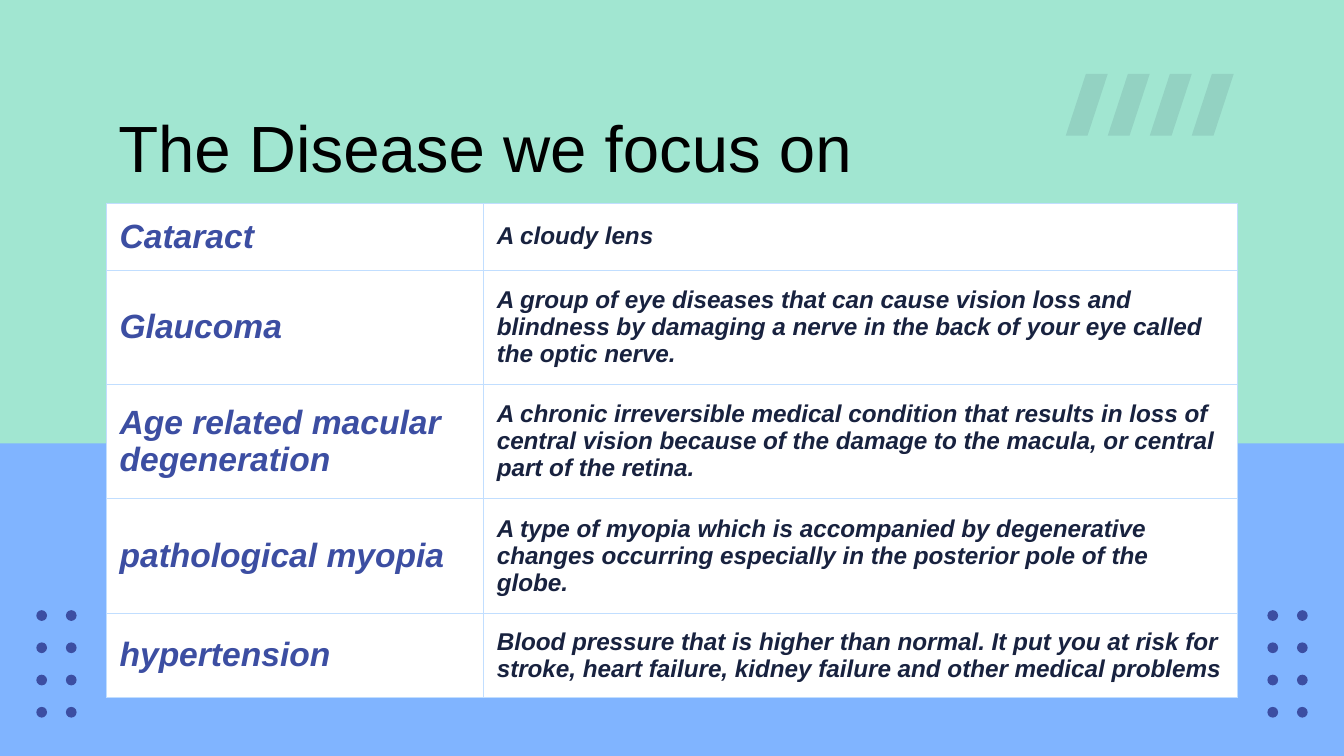
from lxml import etree
from pptx import Presentation, util as u
from pptx.dml.color import RGBColor
from pptx.enum import shapes, text
from pptx.oxml import ns

W = 10
H = W * 9 / 16
BLUE = RGBColor(0x80, 0xB4, 0xFF)
MINT = RGBColor(0xA1, 0xE6, 0xD1)
INDIGO = RGBColor(0x3C, 0x4E, 0xA2)
NAVY = RGBColor(0x18, 0x22, 0x3F)
PALE = RGBColor(0xC1, 0xDE, 0xFF)
WHITE = RGBColor(0xFF, 0xFF, 0xFF)
BLACK = RGBColor(0, 0, 0)

DISEASES = [
    ("Cataract", "A cloudy lens", 0.5),
    ("Glaucoma", "A group of eye diseases that can cause vision loss and blindness by "
     "damaging a nerve in the back of your eye called the optic nerve.", 0.85),
    ("Age related macular degeneration", "A chronic irreversible medical condition that "
     "results in loss of central vision because of the damage to the macula, or central "
     "part of the retina.", 0.85),
    ("pathological myopia", "A type of myopia which is accompanied by degenerative changes "
     "occurring especially in the posterior pole of the globe.", 0.85),
    ("hypertension", "Blood pressure that is higher than normal. It put you at risk for "
     "stroke, heart failure, kidney failure and other medical problems", 0.63),
]


def inches(*values):
    return [u.Inches(v) for v in values]


def write(tf, words, size, color, bold=False, italic=False):
    p = tf.paragraphs[0]
    p.alignment = text.PP_ALIGN.LEFT
    r = p.add_run()
    r.text = words
    f = r.font
    f.name, f.size, f.bold, f.italic = "Arial", u.Pt(size), bold, italic
    f.color.rgb = color


def paint(sp, color, alpha=None):
    """Give a shape a flat fill, with alpha in percent, and no line or shadow."""
    sp.shadow.inherit = False
    sp.line.fill.background()
    sp.fill.solid()
    sp.fill.fore_color.rgb = color
    if alpha is not None:
        clr = sp.fill._xPr.find(".//" + ns.qn("a:srgbClr"))
        etree.SubElement(clr, ns.qn("a:alpha"), val=str(alpha * 1000))


def backdrop(s):
    s.background.fill.solid()
    s.background.fill.fore_color.rgb = BLUE
    band = s.shapes.add_shape(shapes.MSO_SHAPE.RECTANGLE, *inches(0, 0, W, 3.3))
    paint(band, MINT)


def dot_grid(s, x, y, cols=2, rows=4, dx=0.22, dy=0.24, size=0.08):
    group = s.shapes.add_group_shape()
    for i in range(cols * rows):
        row, col = divmod(i, cols)
        dot = group.shapes.add_shape(
            shapes.MSO_SHAPE.OVAL, *inches(x + col * dx, y + row * dy, size, size))
        paint(dot, INDIGO)


def slashes(s, x, y, w, h, count=4):
    """Draw a row of slanted bars, each leaning across half of its own width."""
    group = s.shapes.add_group_shape()
    step = w / count
    lean = step * 0.48
    for i in range(count):
        left = x + i * step
        corners = [(left + lean, y), (left, y + h),
                   (left + step - lean, y + h), (left + step, y)]
        pen = group.shapes.build_freeform(*inches(*corners[0]), scale=1.0)
        pen.add_line_segments([inches(*c) for c in corners[1:]], close=True)
        paint(pen.convert_to_shape(), NAVY, alpha=10)


def heading(s, x, y, w, h):
    """Format the title and raise it above the shapes drawn so far."""
    sp = s.shapes.title
    s.shapes._spTree.append(sp._element)
    sp.left, sp.top, sp.width, sp.height = inches(x, y, w, h)
    tf = sp.text_frame
    tf.auto_size, tf.word_wrap = text.MSO_AUTO_SIZE.NONE, True
    tf.vertical_anchor = text.MSO_ANCHOR.TOP
    tf.margin_left = tf.margin_right = tf.margin_bottom = u.Inches(0.1)
    tf.margin_top = u.Inches(0.15)
    write(tf, "The Disease we focus on", 35, BLACK)


def format_cell(cell):
    cell.vertical_anchor = text.MSO_ANCHOR.MIDDLE
    cell.fill.solid()
    cell.fill.fore_color.rgb = WHITE
    tc_pr = cell._tc.get_or_add_tcPr()
    for i, side in enumerate("LRTB"):
        ln = etree.Element(ns.qn("a:ln" + side), w=str(u.Pt(0.34)))
        fill = etree.SubElement(ln, ns.qn("a:solidFill"))
        etree.SubElement(fill, ns.qn("a:srgbClr"), val=str(PALE))
        tc_pr.insert(i, ln)


def disease_table(s, x, y, w):
    """Lay out names in one third of the width and descriptions in the rest."""
    h = sum(row[-1] for row in DISEASES)
    table = s.shapes.add_table(len(DISEASES), 2, *inches(x, y, w, h)).table
    table.first_row = table.horz_banding = False
    for col, share in zip(table.columns, (1 / 3, 2 / 3)):
        col.width = u.Inches(w * share)
    for row, (name, description, height) in zip(table.rows, DISEASES):
        row.height = u.Inches(height)
        styles = ((name, 18, INDIGO), (description, 13, NAVY))
        for cell, style in zip(row.cells, styles):
            format_cell(cell)
            write(cell.text_frame, *style, bold=True, italic=True)


def main():
    prs = Presentation()
    prs.slide_width, prs.slide_height = inches(W, H)
    s = prs.slides.add_slide(prs.slide_layouts[5])
    backdrop(s)
    for x in (0.27, 9.43):
        dot_grid(s, x, 4.54)
    heading(s, 0.78, 0.65, 8.43, 0.59)
    disease_table(s, 0.79, 1.51, 8.42)
    slashes(s, 7.93, 0.55, 1.25, 0.46)
    prs.save("out.pptx")


if __name__ == "__main__":
    main()
